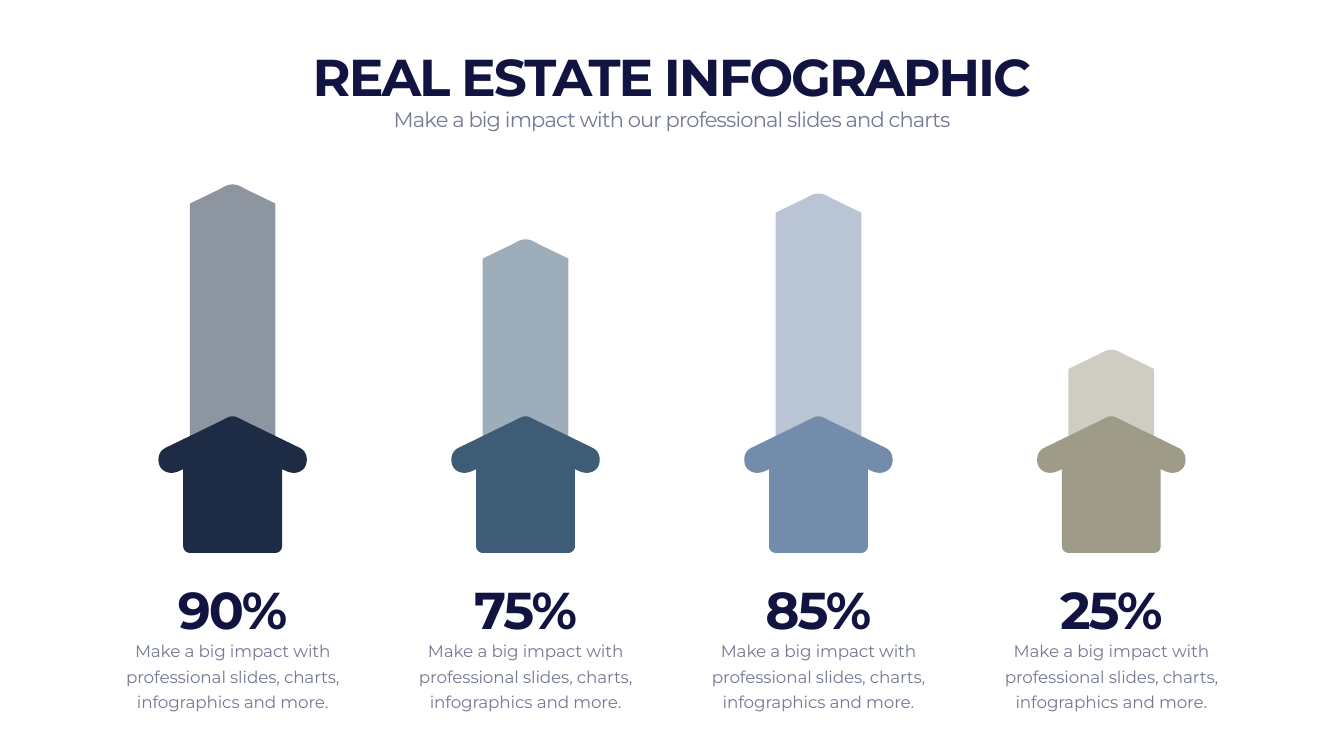
from pptx import Presentation
from pptx.dml.color import RGBColor
from pptx.enum.text import MSO_ANCHOR as Anchor, MSO_AUTO_SIZE as AutoSize, PP_ALIGN as Align
from pptx.oxml.ns import qn
from pptx.util import Inches, Pt
from lxml.etree import SubElement

NAVY = RGBColor(0x11, 0x13, 0x40)
GREY = RGBColor(0x74, 0x79, 0x94)
FONT = "Montserrat"

TITLE = "REAL ESTATE INFOGRAPHIC"
SUBTITLE = "Make a big impact with our professional slides and charts"
CAPTION = "Make a big impact with professional slides, charts, infographics and more."
HOUSES = [
    ("90%", 7.31, RGBColor(0x1D, 0x2C, 0x44)),
    ("75%", 6.22, RGBColor(0x3E, 0x5C, 0x76)),
    ("85%", 7.13, RGBColor(0x74, 0x8C, 0xAB)),
    ("25%", 4.03, RGBColor(0x9E, 0x9B, 0x88)),
]

WIDTH, HEIGHT = 26.66, 15
MIDDLE = WIDTH / 2
PITCH = 5.81
GROUND = 10.97
HEADER_WIDTH, COLUMN_WIDTH = 23.33, 4.94
CURVE_STEPS = 8

HOUSE_HALF = [
    [(0, -2.71)],
    [(0.05, -2.71), (0.09, -2.69), (0.13, -2.67)],
    [(0.27, -2.6)],
    [(1.34, -2.08)],
    [(1.48, -2.01), (1.5, -1.83), (1.44, -1.71)],
    [(1.36, -1.58), (1.2, -1.56), (1.07, -1.62)],
    [(0.98, -1.66)],
    [(0.98, -0.13)],
    [(0.98, -0.06), (0.92, 0), (0.85, 0)],
]


def tower_half(height):
    return [
        [(0, -height)],
        [(0.05, -height), (0.09, 0.01 - height), (0.14, 0.03 - height)],
        [(0.27, 0.1 - height)],
        [(0.85, 0.38 - height)],
        [(0.85, 0)],
    ]


def flatten(segments):
    points = []
    for segment in segments:
        if len(segment) == 1:
            points += segment
            continue
        a, (b, c, d) = points[-1], segment
        for step in range(1, CURVE_STEPS + 1):
            t = step / CURVE_STEPS
            u = 1 - t
            points.append(tuple(
                u**3 * a[k] + 3 * u * u * t * b[k] + 3 * u * t * t * c[k] + t**3 * d[k]
                for k in (0, 1)))
    return points


def add_outline(slide, centre, half, color, opacity=100):
    right = flatten(half)
    left = [(-x, y) for x, y in reversed(right[1:])]
    points = [(Inches(centre + x), Inches(GROUND + y)) for x, y in right + left]
    builder = slide.shapes.build_freeform(*points[0])
    builder.add_line_segments(points[1:], close=True)
    outline = builder.convert_to_shape()
    outline.shadow.inherit = False
    outline.fill.solid()
    outline.fill.fore_color.rgb = color
    outline.line.fill.background()
    if opacity < 100:
        tint = outline.fill._xPr.find(qn("a:solidFill"))[0]
        SubElement(tint, qn("a:alpha")).set("val", str(opacity * 1000))


def add_text(slide, text, centre, top, width, height, size, color, spacing,
             bold=False, anchor=Anchor.TOP, leading=None):
    box = slide.shapes.add_textbox(
        Inches(centre - width / 2), Inches(top), Inches(width), Inches(height))
    frame = box.text_frame
    frame.word_wrap = True
    frame.auto_size = AutoSize.SHAPE_TO_FIT_TEXT
    frame.vertical_anchor = anchor
    paragraph = frame.paragraphs[0]
    paragraph.alignment = Align.CENTER
    if leading:
        paragraph.line_spacing = Pt(leading)
    run = paragraph.add_run()
    run.text = text
    run.font.name = FONT
    run.font.size = Pt(size)
    run.font.bold = bold
    run.font.color.rgb = color
    run.font._element.set("spc", str(round(spacing * 100)))


def add_heading(slide, text, centre, top, width):
    add_text(slide, text, centre, top, width, 1.35, 74, NAVY, -2.9, True, Anchor.BOTTOM)


deck = Presentation()
deck.slide_width, deck.slide_height = Inches(WIDTH), Inches(HEIGHT)
slide = deck.slides.add_slide(deck.slide_layouts[6])

add_heading(slide, TITLE, MIDDLE, 0.82, HEADER_WIDTH)
add_text(slide, SUBTITLE, MIDDLE, 2.07, HEADER_WIDTH, 0.61, 30, GREY, -1.2)

for column, (share, tower_height, color) in enumerate(HOUSES):
    centre = MIDDLE + (column - (len(HOUSES) - 1) / 2) * PITCH
    add_outline(slide, centre, tower_half(tower_height), color, opacity=50)
    add_outline(slide, centre, HOUSE_HALF, color)
    add_text(slide, CAPTION, centre, 12.57, COLUMN_WIDTH, 1.59, 24, GREY, -0.2, leading=36)
    add_heading(slide, share, centre, 11.4, COLUMN_WIDTH)

deck.save("out.pptx")
